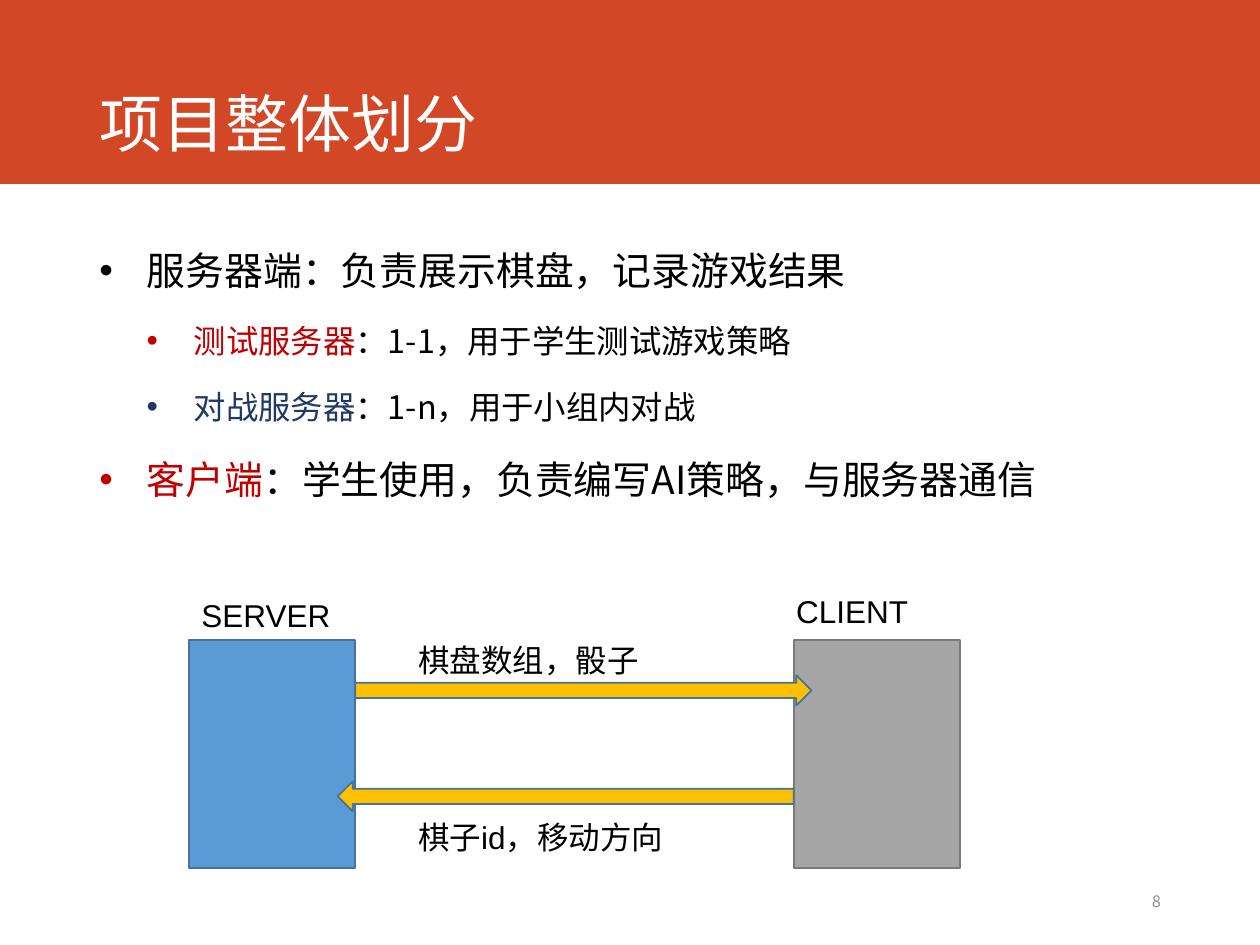
from lxml.etree import SubElement
from pptx import Presentation
from pptx.dml.color import RGBColor
from pptx.enum.shapes import MSO_SHAPE
from pptx.enum.text import MSO_ANCHOR, PP_ALIGN
from pptx.oxml.ns import qn
from pptx.util import Inches, Pt

CJK = "Noto Sans CJK SC"
BLACK, RED, NAVY, WHITE = "000000", "C00000", "203864", "FFFFFF"
BLUE, GREY, GOLD, EDGE = "5B9BD5", "A5A5A5", "FFC000", "43739E"


def color(code):
    return RGBColor.from_string(code)


class SlideBuilder:
    """Holds the text style and the current slide, and adds elements to it."""

    def __init__(self, slide):
        self.slide = slide

    def style(self, run, size, code, font=CJK):
        run.font.size = Pt(size)
        run.font.name = font
        run.font.color.rgb = color(code)
        SubElement(run.font._element, qn("a:ea"), typeface=CJK)

    def block(self, preset, place, fill, edge=None, rotation=0):
        block = self.slide.shapes.add_shape(preset, *map(Inches, place))
        block.shadow.inherit = False
        block.fill.solid()
        block.fill.fore_color.rgb = color(fill)
        block.rotation = rotation
        if edge:
            block.line.color.rgb = color(edge)
            block.line.width = Pt(1)
        else:
            block.line.fill.background()

    def frame(self, place, anchor=MSO_ANCHOR.TOP):
        frame = self.slide.shapes.add_textbox(*map(Inches, place)).text_frame
        frame.word_wrap = True
        frame.vertical_anchor = anchor
        return frame

    def text(self, words, place, size, code=BLACK, font=CJK,
             anchor=MSO_ANCHOR.TOP, align=PP_ALIGN.LEFT):
        frame = self.frame(place, anchor)
        frame.text = words
        frame.paragraphs[0].alignment = align
        self.style(frame.paragraphs[0].runs[0], size, code, font)

    def bullets(self, items, place):
        frame = self.frame(place)
        for index, (level, parts) in enumerate(items):
            paragraph = frame.paragraphs[0] if index == 0 else frame.add_paragraph()
            paragraph.level = level
            paragraph.line_spacing = 1.3
            paragraph.space_after = Pt(9)
            properties = paragraph._p.get_or_add_pPr()
            properties.set("marL", str(Inches(0.375 * (level + 1))))
            properties.set("indent", str(Inches(-0.375)))
            SubElement(properties, qn("a:buFont"), typeface="Arial")
            SubElement(properties, qn("a:buChar"), char="•")
            for words, code in parts:
                run = paragraph.add_run()
                run.text = words
                self.style(run, 18.5 if level else 22.2, code)


def main():
    presentation = Presentation()
    presentation.slide_width, presentation.slide_height = Inches(10), Inches(7.5)
    builder = SlideBuilder(presentation.slides.add_slide(presentation.slide_layouts[6]))

    builder.block(MSO_SHAPE.RECTANGLE, (0, 0, 10, 1.46), "D24726")
    builder.text("项目整体划分", (0.69, 0.5, 3.65, 0.82), 36, WHITE, anchor=MSO_ANCHOR.BOTTOM)
    builder.bullets([
        (0, [("服务器端：负责展示棋盘，记录游戏结果", BLACK)]),
        (1, [("测试服务器", RED), ("：1-1，用于学生测试游戏策略", BLACK)]),
        (1, [("对战服务器", NAVY), ("：1-n，用于小组内对战", BLACK)]),
        (0, [("客户端", RED), ("：学生使用，负责编写AI策略，与服务器通信", BLACK)]),
    ], (0.69, 1.8, 8.62, 2.79))
    builder.text("8", (6.62, 6.95, 2.69, 0.4), 9, "8C8C8C",
                 anchor=MSO_ANCHOR.MIDDLE, align=PP_ALIGN.RIGHT)

    for left, fill, edge in ((6.3, GREY, "7A7A7A"), (1.5, BLUE, EDGE)):
        builder.block(MSO_SHAPE.RECTANGLE, (left, 5.08, 1.32, 1.81), fill, edge)
    for left, top, rotation in ((2.82, 5.36, 0), (2.68, 6.2, 180)):
        builder.block(MSO_SHAPE.RIGHT_ARROW, (left, top, 3.62, 0.24), GOLD, EDGE, rotation)
    for words, left, top, width in (
        ("CLIENT", 6.22, 4.65, 1.49),
        ("SERVER", 1.5, 4.68, 1.49),
        ("棋盘数组，骰子", 3.22, 5.04, 2.82),
        ("棋子id，移动方向", 3.22, 6.44, 2.82),
    ):
        builder.text(words, (left, top, width, 0.4), 18, font="Arial")

    presentation.save("out.pptx")


if __name__ == "__main__":
    main()
